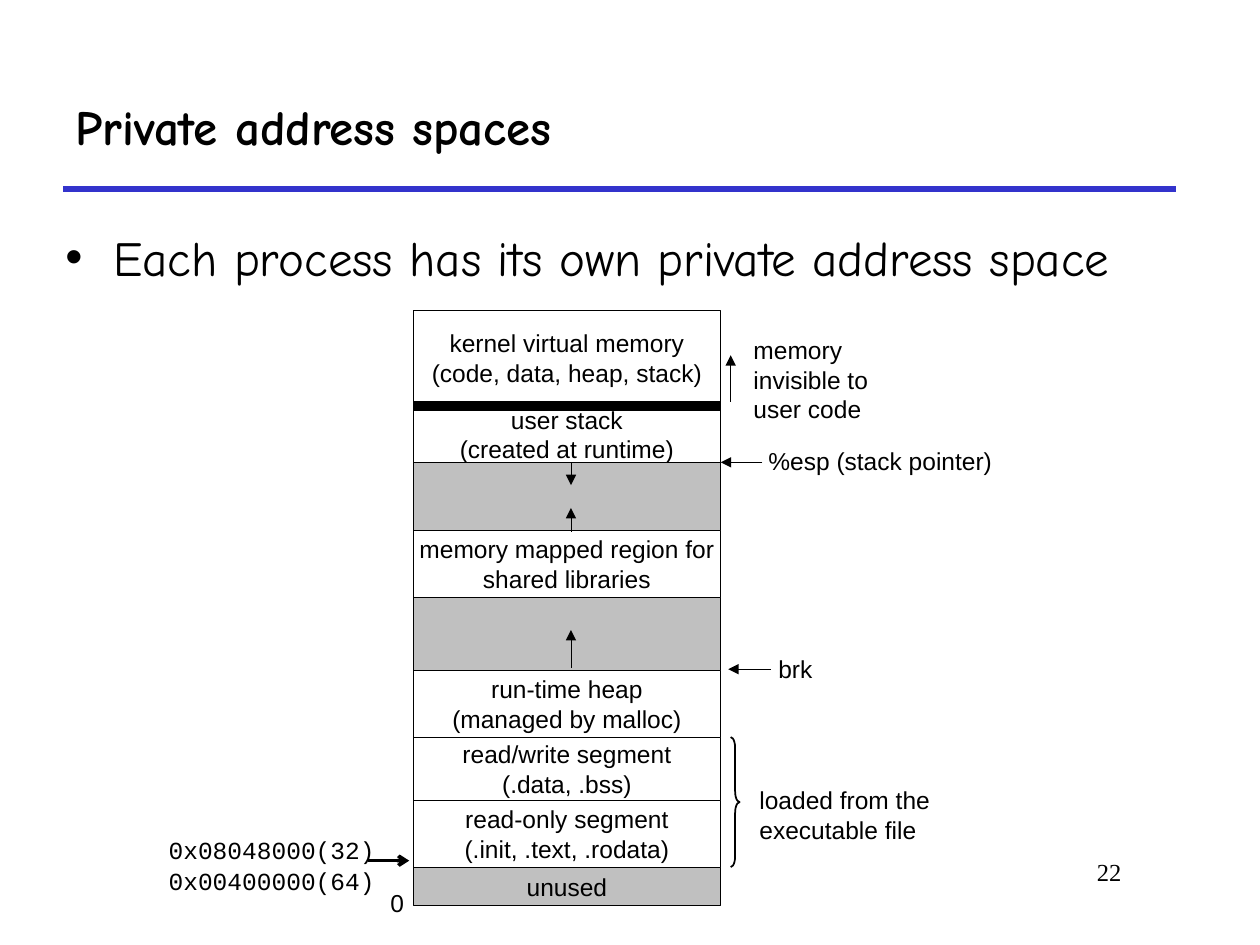
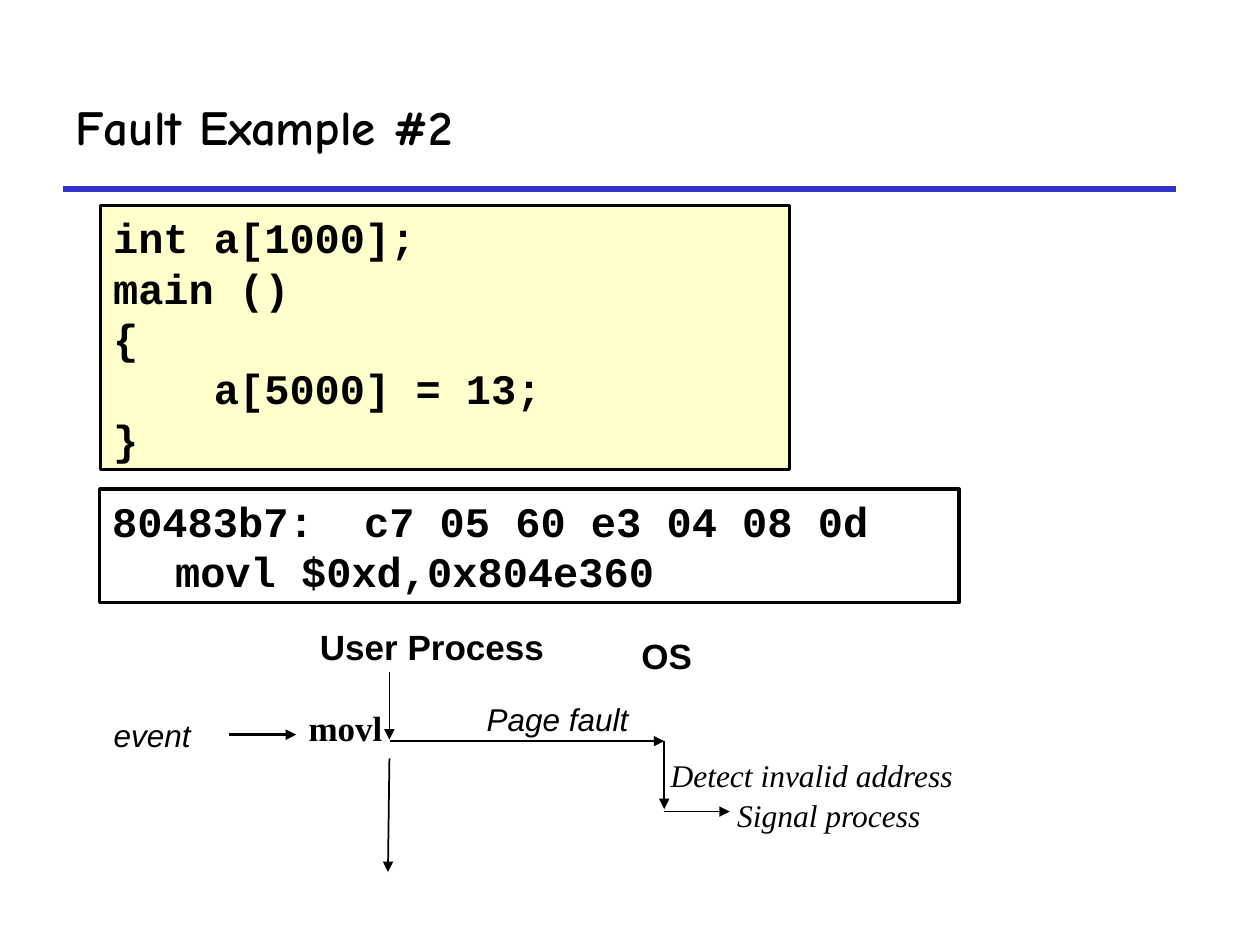
from pptx import Presentation
from pptx.dml.color import RGBColor
from pptx.enum.shapes import MSO_CONNECTOR as CONN, MSO_SHAPE as SHAPE
from pptx.enum.text import MSO_ANCHOR as ANCHOR, MSO_AUTO_SIZE as AUTO, PP_ALIGN as ALIGN
from pptx.oxml.ns import qn
from pptx.util import Cm, Pt
from lxml.etree import SubElement

# Shared look
rgb = RGBColor.from_string
BLACK, WHITE, GREY, CREAM, BLUE = "000000", "FFFFFF", "C0C0C0", "FFFFCC", "3333CC"
SANS, SERIF, MONO, COMIC = "Arial", "Times New Roman", "Courier New", "Comic Neue"


def write(shape, text, font=SANS, size=14, bold=False, italic=False, align=ALIGN.LEFT,
          anchor=ANCHOR.TOP, wrap=False, margins=(0.25, 0.13), bullet=None):
    tf = shape.text_frame
    tf.auto_size = AUTO.NONE
    tf.word_wrap = wrap
    tf.vertical_anchor = anchor
    tf.margin_left = tf.margin_right = Cm(margins[0])
    tf.margin_top = tf.margin_bottom = Cm(margins[1])
    for i, line_text in enumerate(text.split("\n")):
        p = tf.paragraphs[0] if i == 0 else tf.add_paragraph()
        p.alignment = align
        p.space_before = Pt(0)
        if bullet:
            pPr = p._p.get_or_add_pPr()
            pPr.set("marL", str(Cm(0.96)))
            pPr.set("indent", str(-Cm(0.96)))
            SubElement(pPr, qn("a:buFont"), typeface=SANS)
            SubElement(pPr, qn("a:buChar"), char=bullet)
        r = p.add_run()
        r.text = line_text
        r.font.name, r.font.size = font, Pt(size)
        r.font.bold, r.font.italic = bold, italic
        r.font.color.rgb = rgb(BLACK)


def draw_line(s, x1, y1, x2, y2, width=1, color=BLACK, head=None):
    line = s.shapes.add_connector(CONN.STRAIGHT, Cm(x1), Cm(y1), Cm(x2), Cm(y2))
    line.line.width = Pt(width)
    line.line.color.rgb = rgb(color)
    spPr = line.element.spPr
    if head:
        SubElement(spPr.find(qn("a:ln")), qn("a:tailEnd"), type=head)
    SubElement(spPr, qn("a:effectLst"))
    return line


prs = Presentation()
prs.slide_width, prs.slide_height = Cm(25.4), Cm(19.05)

# Slides with their titles
slides = []
for layout, title in ((1, "Private address spaces"), (5, "Fault Example #2")):
    s = prs.slides.add_slide(prs.slide_layouts[layout])
    sp = s.shapes.title
    sp.left, sp.top, sp.width, sp.height = Cm(1.27), Cm(1.27), Cm(22.43), Cm(2.54)
    write(sp, title, font=COMIC, size=28, bold=True, anchor=ANCHOR.MIDDLE, wrap=True)
    slides.append(s)
memory, fault = slides

# Title rule, moved to the master
rule = draw_line(memory, 1.27, 3.81, 23.7, 3.81, width=3, color=BLUE)
rule.element.nvCxnSpPr.cNvPr.set("id", "100")
prs.slide_master.element.cSld.spTree.append(rule.element)

# Slide 1: statement and page number
sp = memory.placeholders[1]
sp.left, sp.top, sp.width, sp.height = Cm(1.07), Cm(4.45), Cm(23.5), Cm(1.47)
write(sp, "Each process has its own private address space",
      font=COMIC, size=28, wrap=True, bullet="•")
sp = memory.shapes.add_textbox(Cm(19.25), Cm(17.15), Cm(3.61), Cm(1.27))
write(sp, "22", font=SERIF, align=ALIGN.RIGHT, wrap=True)

# Memory regions, stacked from the top
REGION_LEFT, REGION_WIDTH = 8.33, 6.2
REGION_RIGHT = REGION_LEFT + REGION_WIDTH
regions = [
    (1.93, WHITE, "kernel virtual memory\n(code, data, heap, stack)"),
    (1.14, WHITE, "user stack\n(created at runtime)"),
    (1.37, GREY, ""),
    (1.35, WHITE, "memory mapped region for\nshared libraries"),
    (1.47, GREY, ""),
    (1.35, WHITE, "run-time heap\n(managed by malloc)"),
    (1.27, WHITE, "read/write segment\n(.data, .bss)"),
    (1.35, WHITE, "read-only segment\n(.init, .text, .rodata)"),
    (0.78, GREY, "unused"),
]
top = 6.25
for height, color, text in regions:
    sp = memory.shapes.add_shape(SHAPE.RECTANGLE, Cm(REGION_LEFT), Cm(top),
                                 Cm(REGION_WIDTH), Cm(height))
    sp.shadow.inherit = False
    sp.fill.solid()
    sp.fill.fore_color.rgb = rgb(color)
    sp.line.color.rgb = rgb(BLACK)
    sp.line.width = Pt(0.25)
    if text:
        write(sp, text, align=ALIGN.CENTER, anchor=ANCHOR.MIDDLE)
    top += height

# Kernel boundary, growth arrows and pointers
draw_line(memory, REGION_LEFT, 8.18, REGION_RIGHT, 8.18, width=6)
for x1, y1, x2, y2 in (
    (11.51, 9.32, 11.51, 9.78),
    (11.51, 10.72, 11.51, 10.24),
    (11.51, 13.46, 11.51, 12.7),
    (14.73, 8.1, 14.73, 7.16),
    (15.37, 9.32, REGION_RIGHT, 9.32),
    (15.54, 13.49, 14.68, 13.49),
):
    draw_line(memory, x1, y1, x2, y2, width=0.25, head="triangle")
draw_line(memory, 7.42, 17.35, 8.25, 17.35, width=2, head="arrow")

# Brace over the segments loaded from the file
brace = memory.shapes.add_shape(SHAPE.RIGHT_BRACE, Cm(14.73), Cm(14.86), Cm(0.18), Cm(2.62))
brace.shadow.inherit = False
brace.fill.background()
brace.line.color.rgb = rgb(BLACK)
brace.line.width = Pt(1)
brace.adjustments[0] = 1.2

# Labels beside the regions
for x, y, w, h, text, font in (
    (14.94, 6.63, 2.82, 2.03, "memory\ninvisible to\nuser code", SANS),
    (15.24, 8.86, 5, 0.86, "%esp (stack pointer)", SANS),
    (15.44, 13.06, 1.19, 0.86, "brk", SANS),
    (15.06, 15.7, 4.09, 1.45, "loaded from the\nexecutable file", SANS),
    (3.15, 16.71, 4.67, 0.86, "0x08048000(32)", MONO),
    (3.15, 17.32, 4.67, 0.86, "0x00400000(64)", MONO),
    (7.62, 17.78, 0.79, 0.86, "0", SANS),
):
    write(memory.shapes.add_textbox(Cm(x), Cm(y), Cm(w), Cm(h)), text, font=font)

# Slide 2: source code and its machine code
for x, y, w, h, color, code in (
    (2.03, 4.14, 13.89, 5.33, CREAM, "int a[1000];\nmain ()\n{\n    a[5000] = 13;\n}"),
    (2.01, 9.86, 17.32, 2.29, WHITE,
     "80483b7:\tc7 05 60 e3 04 08 0d\n\tmovl $0xd,0x804e360"),
):
    sp = fault.shapes.add_shape(SHAPE.RECTANGLE, Cm(x), Cm(y), Cm(w), Cm(h))
    sp.shadow.inherit = False
    sp.fill.solid()
    sp.fill.fore_color.rgb = rgb(color)
    sp.line.color.rgb = rgb(BLACK)
    sp.line.width = Pt(2)
    write(sp, code, font=MONO, size=24, bold=True, wrap=True)

# Control flow between the process and the OS
for x1, y1, x2, y2, width in (
    (7.85, 13.54, 7.85, 14.91, 1),
    (7.87, 14.94, 13.39, 14.94, 1),
    (13.39, 14.94, 13.39, 16.31, 1),
    (13.39, 16.36, 14.71, 16.36, 1),
    (7.85, 15.29, 7.82, 17.58, 1),
    (4.62, 14.81, 5.97, 14.81, 2),
):
    draw_line(fault, x1, y1, x2, y2, width=width, head="triangle")

# Flow labels
heading = dict(size=20, bold=True, margins=(0.18, 0.1))
step = dict(size=18, italic=True, margins=(0.18, 0.1))
for x, y, w, h, text, style in (
    (6.27, 12.5, 4.9, 1.04, "User Process", heading),
    (12.75, 12.7, 1.4, 1.04, "OS", heading),
    (2.11, 14.33, 2.29, 0.94, "event", step),
    (5.97, 14.12, 2.01, 1.12, "movl", dict(font=SERIF, size=20, bold=True)),
    (9.63, 14.02, 3.23, 0.94, "Page fault", step),
    (13.34, 15.14, 7.92, 0.94, "Detect invalid address", dict(step, font=SERIF, wrap=True)),
    (14.68, 15.95, 5.54, 0.94, "Signal process", dict(step, font=SERIF, wrap=True)),
):
    write(fault.shapes.add_textbox(Cm(x), Cm(y), Cm(w), Cm(h)), text, **style)

prs.save("out.pptx")
